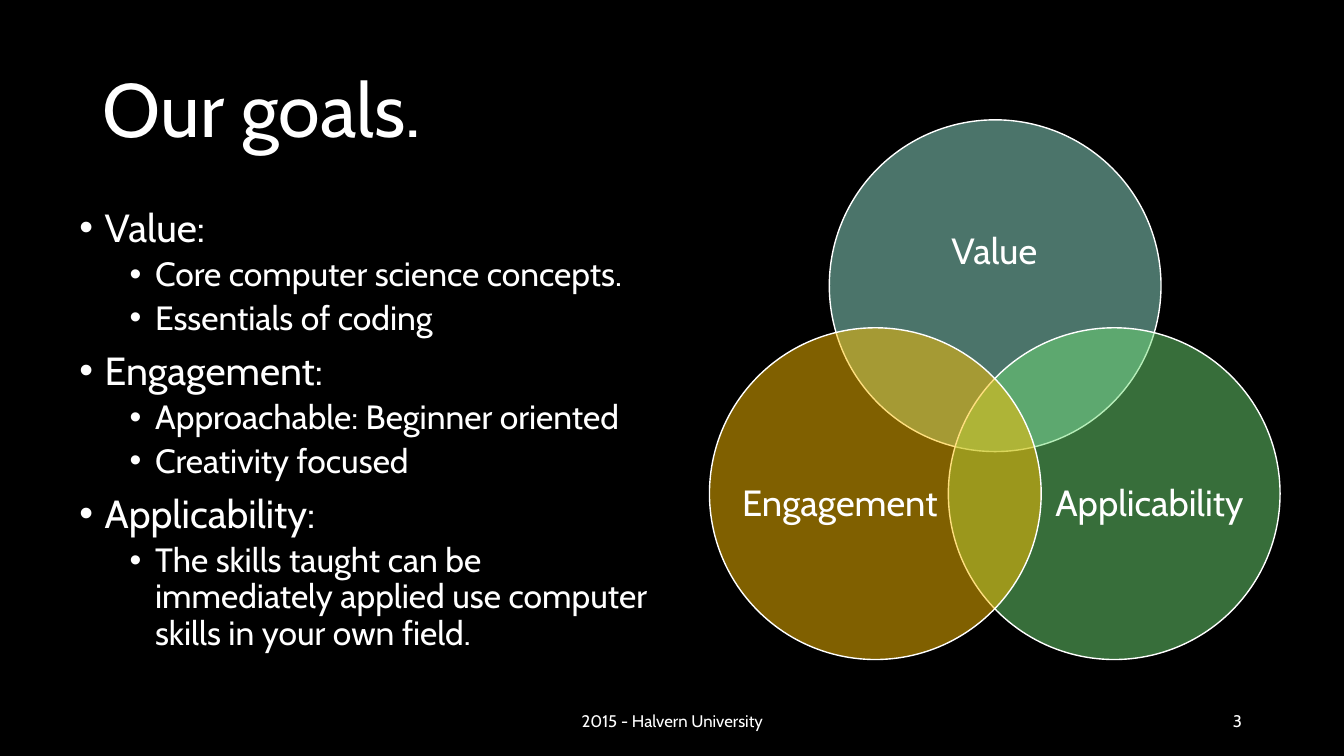
from lxml.etree import SubElement
from pptx import Presentation
from pptx.dml.color import RGBColor
from pptx.enum.shapes import MSO_SHAPE
from pptx.enum.text import MSO_ANCHOR as ANCHOR, PP_ALIGN as ALIGN
from pptx.oxml.ns import qn
from pptx.util import Cm, Pt

FONT = "Cabin"
WHITE = "FFFFFF"


def paint(color_format, color):
    color_format.rgb = RGBColor.from_string(color)


def add_text(box, lines, size, align=ALIGN.LEFT, anchor=ANCHOR.MIDDLE, spacing=0.9, margin=None):
    shape = slide.shapes.add_textbox(*[Cm(length) for length in box])
    frame = shape.text_frame
    frame.word_wrap = True
    frame.vertical_anchor = anchor
    if margin is not None:
        frame.margin_left = frame.margin_right = Cm(margin)
        frame.margin_top = frame.margin_bottom = Cm(margin)
    frame.text = "\n".join(lines)
    for paragraph in frame.paragraphs:
        paragraph.alignment = align
        paragraph.line_spacing = spacing
        for run in paragraph.runs:
            run.font.size = Pt(size)
            run.font.name = FONT
            paint(run.font.color, WHITE)
    return frame


presentation = Presentation()
presentation.slide_width = Cm(33.87)
presentation.slide_height = Cm(19.05)
slide = presentation.slides.add_slide(presentation.slide_layouts[6])
slide.background.fill.solid()
paint(slide.background.fill.fore_color, "000000")

add_text((2.34, 1.02, 29.21, 3.68), ["Our goals."], 54)

DIAMETER = 8.36
circles = [
    ("Value", "97E9D5", (20.9, 3.02), (22, 4.5, 6.12, 3.76)),
    ("Applicability", "6FDD74", (23.9, 8.26), (26.47, 10.41, 5, 4.6)),
    ("Engagement", "FFC000", (17.88, 8.26), (18.67, 10.41, 5, 4.6)),
]
for label, color, (left, top), label_box in circles:
    circle = slide.shapes.add_shape(MSO_SHAPE.OVAL, Cm(left), Cm(top), Cm(DIAMETER), Cm(DIAMETER))
    circle.shadow.inherit = False
    circle.fill.solid()
    paint(circle.fill.fore_color, color)
    fill_color = circle.fill._xPr.find(qn("a:solidFill"))[0]
    SubElement(fill_color, qn("a:alpha"), val="50000")
    paint(circle.line.color, WHITE)
    circle.line.width = Pt(1)
    add_text(label_box, [label], 26, ALIGN.CENTER, margin=0)

goals = [
    (0, "Value:"),
    (1, "Core computer science concepts."),
    (1, "Essentials of coding"),
    (0, "Engagement:"),
    (1, "Approachable: Beginner oriented"),
    (1, "Creativity focused"),
    (0, "Applicability:"),
    (1, "The skills taught can be immediately applied use computer skills in your own field."),
]
level_styles = [(28, 10, 0.64), (24, 5, 1.91)]
goal_frame = add_text((1.75, 5.13, 14.94, 12.52), [text for _, text in goals], 28, anchor=ANCHOR.TOP)
for paragraph, (level, _) in zip(goal_frame.paragraphs, goals):
    size, space_before, indent = level_styles[level]
    paragraph.level = level
    paragraph.space_before = Pt(space_before)
    paragraph.runs[0].font.size = Pt(size)
    properties = paragraph._p.get_or_add_pPr()
    properties.set("marL", str(Cm(indent)))
    properties.set("indent", str(-Cm(0.64)))
    SubElement(properties, qn("a:buFont"), typeface="Arial")
    SubElement(properties, qn("a:buChar"), char="•")

add_text((11.23, 17.65, 11.43, 1.02), ["2015 - Halvern University"], 12, ALIGN.CENTER, spacing=1.0)
add_text((23.93, 17.65, 7.62, 1.02), ["3"], 12, ALIGN.RIGHT, spacing=1.0)

presentation.save("out.pptx")
